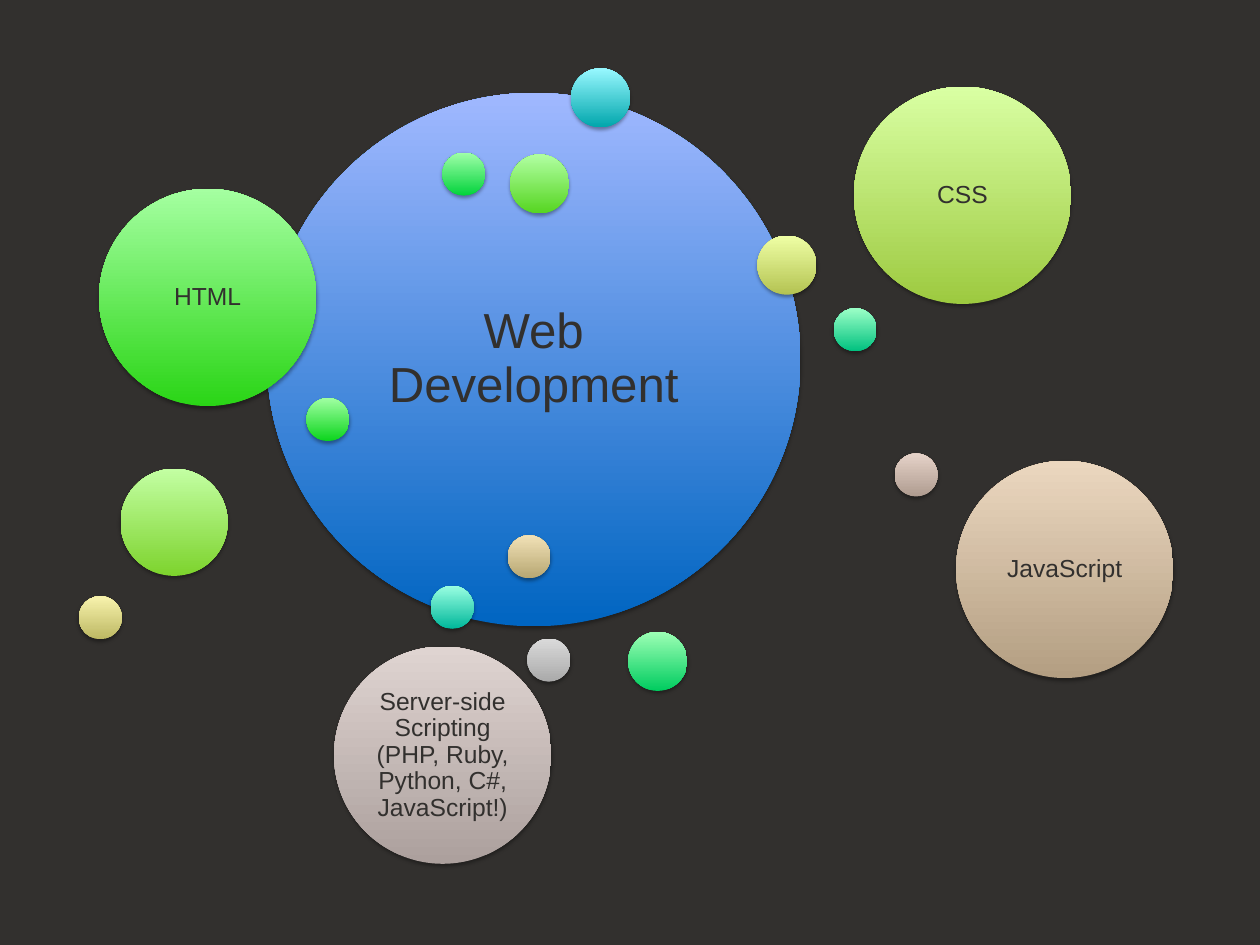
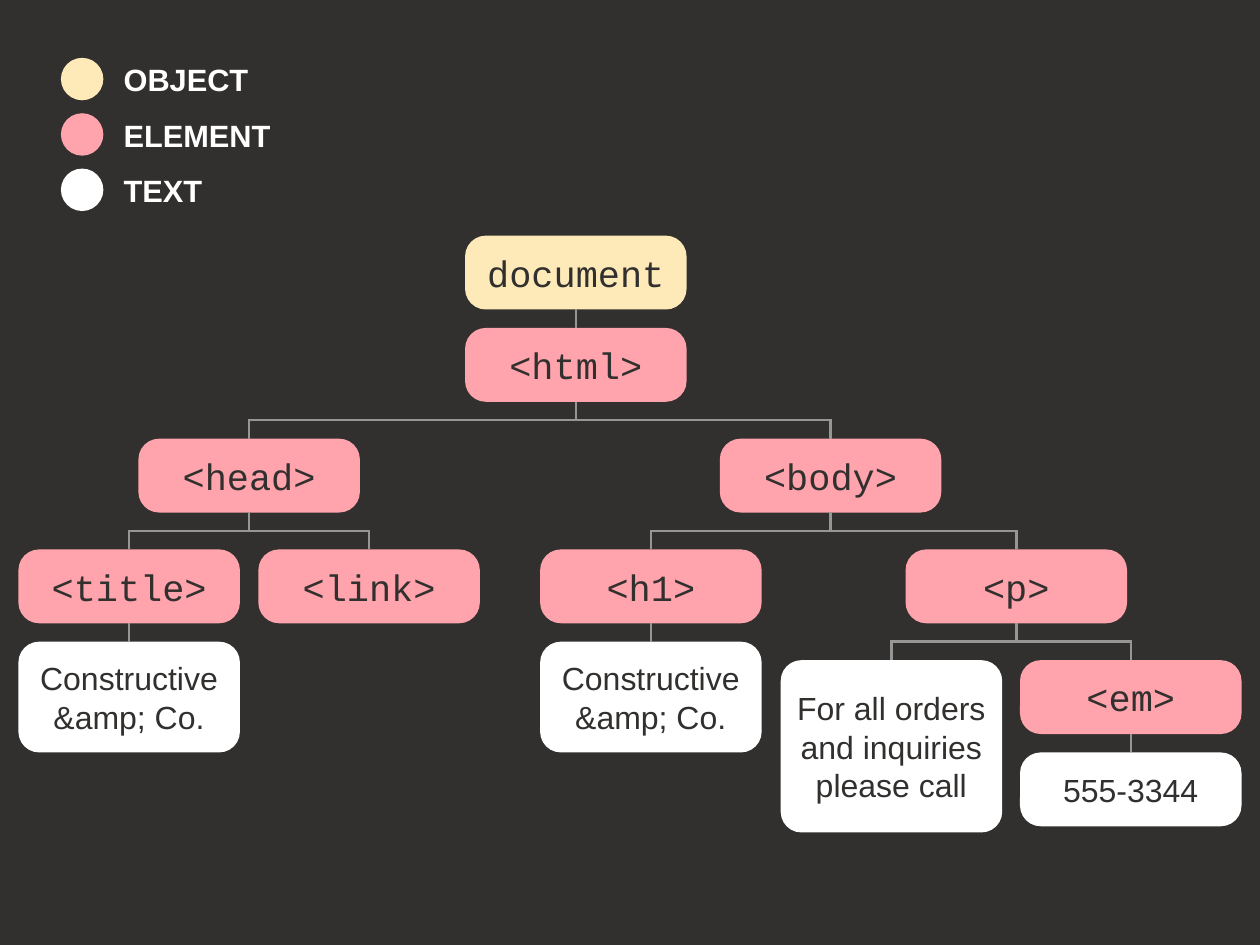
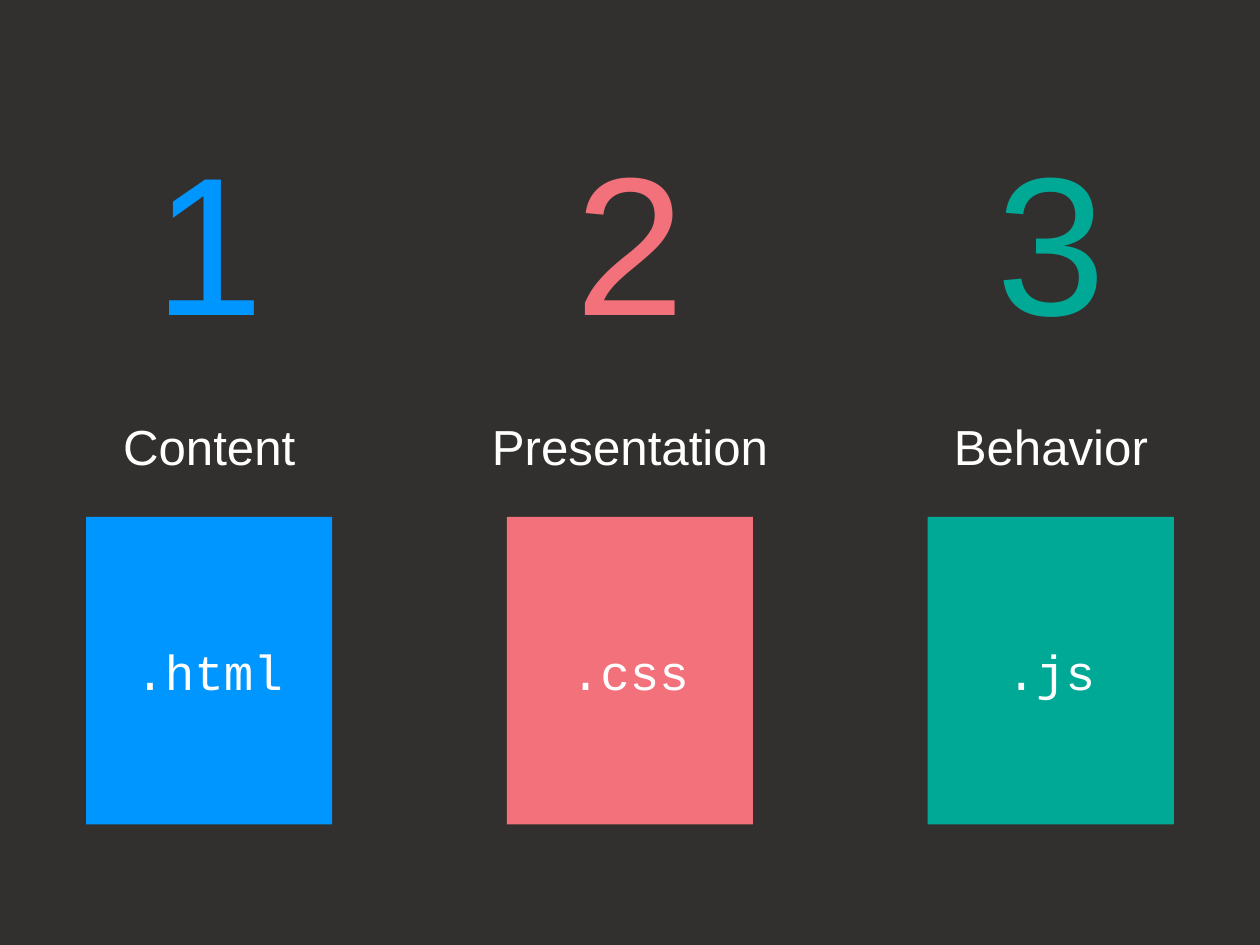
import lxml.etree
import pptx
import pptx.dml.color
import pptx.enum.shapes
import pptx.enum.text
import pptx.oxml.ns
import pptx.util

Pt = pptx.util.Pt
KIND = pptx.enum.shapes.MSO_SHAPE
ALIGN = pptx.enum.text.PP_ALIGN
MID = pptx.enum.text.MSO_ANCHOR.MIDDLE
TOP = pptx.enum.text.MSO_ANCHOR.TOP

SIZE = (1024, 768)
DARK, WHITE, GREY = "32302E", "FFFFFF", "969696"
CREAM, PINK = "FDEAB8", "FFA3AC"
SANS, MONO = "Arial", "Courier New"

BIG, LARGE, MEDIUM, SMALL, TINY = 433.5, 176.5, 87, 48, 35
BUBBLES = [
    (153, 20, BIG, "0065C1", "A0B8FF", "Web Development"),
    (400, 0, SMALL, "00A6AC", "98F8FF", ""),
    (286, 420.5, TINY, "00B79A", "9AFFE2", ""),
    (613.5, 195, TINY, "00C17F", "9CFFC7", ""),
    (446.5, 458, SMALL, "00CC5F", "9DFFB5", ""),
    (295.5, 68.5, TINY, "03D33C", "9FFFA9", ""),
    (185, 268, TINY, "0CD51D", "A0FFA2", ""),
    (16.5, 98, LARGE, "2AD516", "A5FFA1", "HTML"),
    (350.5, 70, SMALL, "56D521", "B1FFA2", ""),
    (34, 325.5, MEDIUM, "7DD32D", "C3FFA3", ""),
    (630, 15, LARGE, "9DCA40", "D9FFA3", "CSS"),
    (551.5, 136, SMALL, "B4C352", "EFFFA5", ""),
    (0, 429, TINY, "BDB863", "F8F3AD", ""),
    (348.5, 379.5, TINY, "B7A773", "F1E1B6", ""),
    (713, 319, LARGE, "B39E82", "EBD7BF", "JavaScript"),
    (663, 313, TINY, "AF9C90", "E5D2C8", ""),
    (207.5, 470, LARGE, "ACA09D", "DFD4D1",
     "Server-side Scripting (PHP, Ruby, Python, C#, JavaScript!)"),
    (364.5, 463.5, TINY, "AAAAAA", "DADADA", ""),
]

NODE_WIDE, NODE_HIGH, GAP, CURVE = 180, 60, 15, 16.8
FIRM = "Constructive &amp; Co."
TREE = ("document", 363, CREAM, NODE_HIGH, [
    ("<html>", 363, PINK, NODE_HIGH, [
        ("<head>", 97.5, PINK, NODE_HIGH, [
            ("<title>", 0, PINK, NODE_HIGH, [(FIRM, 0, WHITE, 90, [])]),
            ("<link>", 195, PINK, NODE_HIGH, []),
        ]),
        ("<body>", 570, PINK, NODE_HIGH, [
            ("<h1>", 424, PINK, NODE_HIGH, [(FIRM, 424, WHITE, 90, [])]),
            ("<p>", 721, PINK, NODE_HIGH, [
                ("For all orders and inquiries please call", 619.5, WHITE, 140, []),
                ("<em>", 814, PINK, NODE_HIGH, [
                    ("555-3344", 814, WHITE, NODE_HIGH, []),
                ]),
            ]),
        ]),
    ]),
])

LEGEND = [("OBJECT", CREAM), ("ELEMENT", PINK), ("TEXT", WHITE)]
COLUMNS = [
    ("1", "Content", ".html", "0096FF"),
    ("2", "Presentation", ".css", "F2717A"),
    ("3", "Behavior", ".js", "00A996"),
]


def tint(color, code):
    """Set a colour from a hex string."""
    color.rgb = pptx.dml.color.RGBColor.from_string(code)


def write(shape, text, size, code, font=SANS, inset=0, anchor=MID,
          align=ALIGN.CENTER, bold=False, wrap=True):
    """Put one formatted paragraph into a shape."""
    frame = shape.text_frame
    frame.text = text
    frame.word_wrap = wrap
    frame.auto_size = pptx.enum.text.MSO_AUTO_SIZE.NONE
    frame.vertical_anchor = anchor
    frame.margin_left = frame.margin_right = Pt(inset)
    frame.margin_top = frame.margin_bottom = Pt(inset)
    line = frame.paragraphs[0]
    line.alignment = align
    for run in line.runs:
        run.font.name, run.font.size, run.font.bold = font, Pt(size), bold
        tint(run.font.color, code)
    return line


def draw(slide, kind, box, code=None):
    """Add a flat shape without outline or shadow."""
    shape = slide.shapes.add_shape(kind, *map(Pt, box))
    shape.line.fill.background()
    shape.shadow.inherit = False
    if code:
        shape.fill.solid()
        tint(shape.fill.fore_color, code)
    return shape


def label(slide, box, *args, **style):
    """Add a text box with one paragraph."""
    write(slide.shapes.add_textbox(*map(Pt, box)), *args, **style)


def link(slide, x1, y1, x2, y2, start=None, end=None):
    """Draw a grey line, joined to a box below start or above end."""
    line = slide.shapes.add_connector(
        pptx.enum.shapes.MSO_CONNECTOR.STRAIGHT, *map(Pt, (x1, y1, x2, y2)))
    if start is not None:
        line.begin_connect(start, 2)
    if end is not None:
        line.end_connect(end, 0)
    line.line.width = Pt(2)
    tint(line.line.color, GREY)
    lxml.etree.SubElement(line._element.spPr, pptx.oxml.ns.qn("a:effectLst"))


def cast(shape):
    """Give a shape a soft shadow below it."""
    qn = pptx.oxml.ns.qn
    list_ = shape._element.spPr.find(qn("a:effectLst"))
    shade = lxml.etree.SubElement(
        list_, qn("a:outerShdw"), blurRad=str(Pt(3.1)), dist=str(Pt(1.8)),
        dir="5400000", rotWithShape="0")
    black = lxml.etree.SubElement(shade, qn("a:srgbClr"), val="000000")
    lxml.etree.SubElement(black, qn("a:alpha"), val="35000")


def cloud(slide, box):
    """Place the shaded bubbles in a box."""
    for left, top, size, low, high, text in BUBBLES:
        ball = draw(slide, KIND.OVAL, (box[0] + left, box[1] + top, size, size))
        ball.fill.gradient()
        ball.fill.gradient_angle = 90
        for stop, code in zip(ball.fill.gradient_stops, (low, high)):
            tint(stop.color, code)
        cast(ball)
        if text:
            main = size == BIG
            line = write(ball, text, 40 if main else 20, DARK,
                         inset=12 if main else 6)
            line.line_spacing = 0.9


def legend(slide, box):
    """List the node kinds as dots with names."""
    left, top, wide, high = box
    step = high / len(LEGEND)
    for row, (text, code) in enumerate(LEGEND):
        y = top + row * step
        draw(slide, KIND.OVAL, (left, y + 1.5, 34.5, 34.5), code)
        label(slide, (left + 47, y, wide - 47, 38), text, 25, WHITE, inset=4,
              align=ALIGN.LEFT, bold=True, wrap=False)


def tree(slide, box, node):
    """Place a node at the top of a box, its kids below, and return it."""
    left, top, wide, high = box
    text, shift, code, tall, kids = node
    shape = draw(slide, KIND.ROUNDED_RECTANGLE,
                 (left + shift, top, NODE_WIDE, tall), code)
    shape.adjustments[0] = CURVE / tall
    plain = code == WHITE
    write(shape, text, 26 if plain else 30, DARK, SANS if plain else MONO)
    fork = len(kids) > 1
    drop = tall + GAP * (2 if fork else 1)
    below = (left, top + drop, wide, high - drop)
    parts = [tree(slide, below, kid) for kid in kids]
    mid = left + shift + NODE_WIDE / 2
    base = top + tall
    if fork:
        bar = base + GAP
        spots = [left + kid[1] + NODE_WIDE / 2 for kid in kids]
        link(slide, mid, base, mid, bar, start=shape)
        link(slide, spots[0] - 1, bar, spots[-1] + 1, bar)
        for spot, part in zip(spots, parts):
            link(slide, spot, bar, spot, below[1], end=part)
    elif parts:
        link(slide, mid, base, mid, below[1], start=shape, end=parts[0])
    return shape


def column(slide, box, item, title=None):
    """Fill a column with a number, a caption and a file tile."""
    left, top, wide, high = box
    digit, text, name, code = item
    head = (left, top, wide, 191.5)
    if title is None:
        label(slide, head, digit, 160, code)
    else:
        title.left, title.top, title.width, title.height = map(Pt, head)
        write(title, digit, 160, code)
    label(slide, (left, top + 191.5, wide, high - 191.5), text, 40, WHITE,
          inset=50, anchor=TOP)
    tile = draw(slide, KIND.RECTANGLE,
                (left + (wide - 200) / 2, top + 323.5, 200, 250), code)
    write(tile, name, 40, WHITE, MONO, inset=25)


def main():
    """Build and save the three slides."""
    deck = pptx.Presentation()
    deck.slide_width, deck.slide_height = map(Pt, SIZE)
    back = deck.slide_master.background.fill
    back.solid()
    tint(back.fore_color, DARK)
    blank, titled = deck.slide_layouts[6], deck.slide_layouts[5]

    cloud(deck.slides.add_slide(blank), (64, 55.5, 890, 647))

    slide = deck.slides.add_slide(blank)
    tree(slide, (15, 191.5, 994, 485), TREE)
    legend(slide, (49.5, 45.5, 176, 135))

    slide = deck.slides.add_slide(titled)
    for place, item in enumerate(COLUMNS):
        column(slide, (place * 342, 96.5, 340, 671.5), item,
               slide.shapes.title if place == 1 else None)

    deck.save("out.pptx")


if __name__ == "__main__":
    main()
